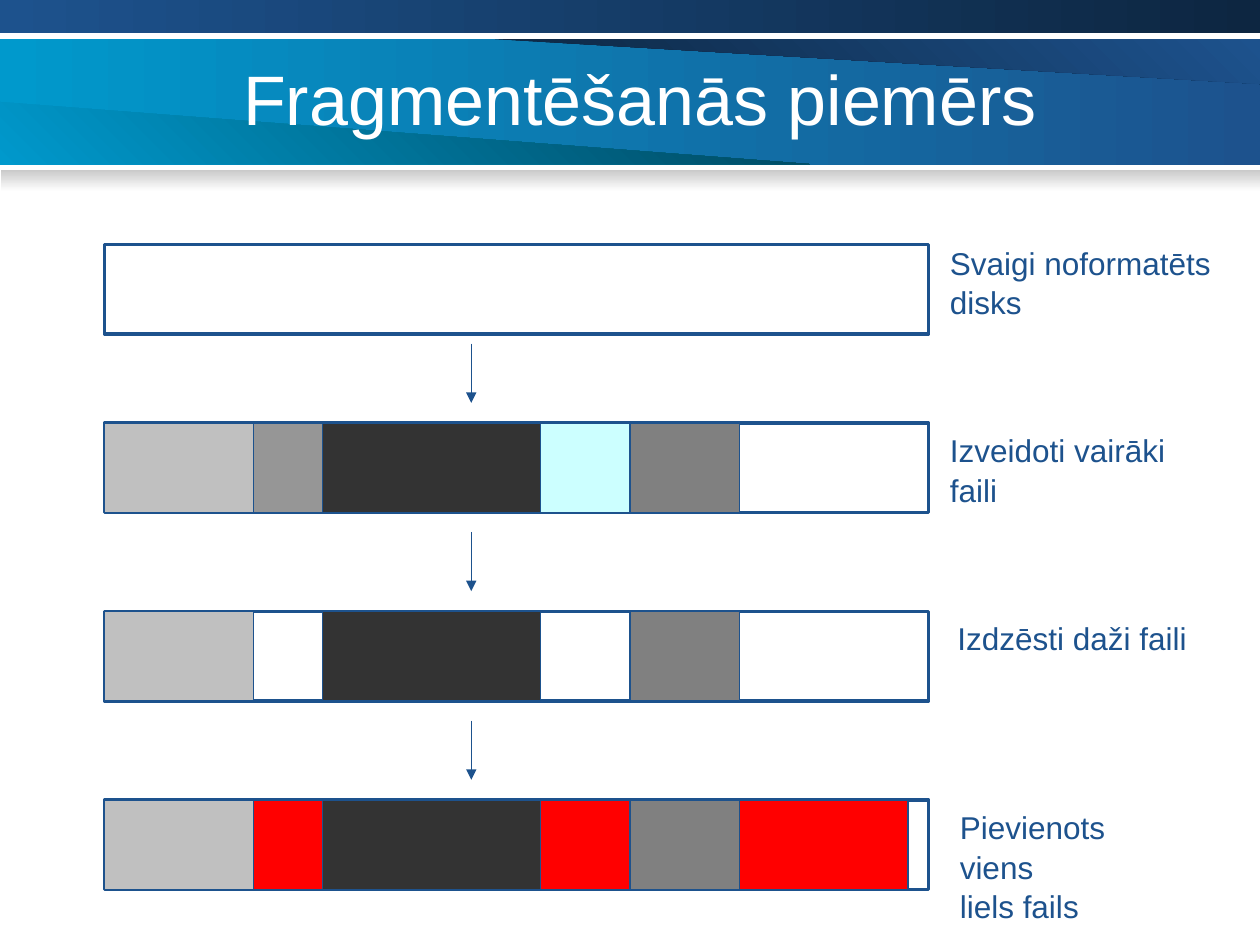
from itertools import pairwise

from lxml.etree import SubElement
from pptx import Presentation
from pptx.dml.color import RGBColor
from pptx.enum.shapes import MSO_CONNECTOR as Connector, MSO_SHAPE as Shape
from pptx.enum.text import MSO_ANCHOR as Anchor, MSO_AUTO_SIZE as AutoSize, PP_ALIGN as Align
from pptx.oxml.ns import qn
from pptx.util import Pt

COLORS = {
    "white": "FFFFFF", "blue": "1D528D", "navy": "0D2641", "cyan": "0099CC",
    "teal": "00475E", "shadow": "CACACA", "silver": "C0C0C0", "gray": "969696",
    "charcoal": "333333", "ice": "CCFFFF", "slate": "808080", "red": "FF0000",
}
DISK_LEFT, DISK_WIDTH, DISK_HEIGHT = 59.8, 470.9, 51.1
SEGMENT_EDGES = [DISK_LEFT, 144.7, 184.4, 308.9, 360, 422.8, 519]
ARROW_X, ARROW_LENGTH = 269.3, 33.8
ROWS = [
    (139.7, [], "Svaigi noformatēts\ndisks", (535.7, 134.6, 163.4, 50.4)),
    (241.7, ["silver", "gray", "charcoal", "ice", "slate"],
     "Izveidoti vairāki\nfaili", (535.7, 241.7, 137.5, 50.4)),
    (349.4, ["silver", None, "charcoal", None, "slate"],
     "Izdzēsti daži faili", (540, 349.4, 145.4, 28.8)),
    (457.1, ["silver", "red", "charcoal", "red", "slate", "red"],
     "Pievienots viens\nliels fails", (541.4, 457.1, 144, 50.4)),
]
ARROW_TOPS = [196.4, 304, 411.8]


def color(name):
    return RGBColor.from_string(COLORS[name])


def write(frame, text, size=18, ink="blue", spacing=1.05):
    for index, line in enumerate(text.split("\n")):
        para = frame.paragraphs[0] if index == 0 else frame.add_paragraph()
        para.alignment = Align.LEFT
        para.line_spacing = spacing
        span = para.add_run()
        span.text = line
        span.font.name = "Arial"
        span.font.size = Pt(size)
        span.font.color.rgb = color(ink)


class Page:
    def __init__(self, deck):
        self.slide = deck.slides.add_slide(deck.slide_layouts[5])
        self.shapes = self.slide.shapes

    def paint_gradient(self, shape, start, end, angle):
        shape.shadow.inherit = False
        shape.line.fill.background()
        shape.fill.gradient()
        shape.fill.gradient_angle = angle
        for stop, name in zip(shape.fill.gradient_stops, (start, end)):
            stop.color.rgb = color(name)

    def band(self, left, top, width, height, start, end, angle=0):
        shape = self.shapes.add_shape(Shape.RECTANGLE, Pt(left), Pt(top), Pt(width), Pt(height))
        self.paint_gradient(shape, start, end, angle)

    def wedge(self, points, start, end):
        corners = [(Pt(x), Pt(y)) for x, y in points]
        builder = self.shapes.build_freeform(*corners[0])
        builder.add_line_segments(corners[1:], close=True)
        self.paint_gradient(builder.convert_to_shape(), start, end, 45)

    def title(self, text, left, top, width, height):
        box = self.shapes.title
        box.element.getparent().append(box.element)
        box.left, box.top, box.width, box.height = Pt(left), Pt(top), Pt(width), Pt(height)
        box.text_frame.vertical_anchor = Anchor.MIDDLE
        write(box.text_frame, text, size=40, ink="white", spacing=1)

    def block(self, left, top, width, fill=None, weight=0.75):
        shape = self.shapes.add_shape(
            Shape.RECTANGLE, Pt(left), Pt(top), Pt(width), Pt(DISK_HEIGHT))
        shape.shadow.inherit = False
        shape.line.color.rgb = color("blue")
        shape.line.width = Pt(weight)
        if fill:
            shape.fill.solid()
            shape.fill.fore_color.rgb = color(fill)
        else:
            shape.fill.background()

    def disk(self, top, files):
        self.block(DISK_LEFT, top, DISK_WIDTH, weight=2)
        for (left, right), fill in zip(pairwise(SEGMENT_EDGES), files):
            if fill:
                self.block(left, top, right - left, fill)

    def arrow(self, top):
        line = self.shapes.add_connector(
            Connector.STRAIGHT, Pt(ARROW_X), Pt(top), Pt(ARROW_X), Pt(top + ARROW_LENGTH))
        line.line.color.rgb = color("blue")
        line.line.width = Pt(0.75)
        properties = line.element.spPr
        SubElement(properties.find(qn("a:ln")), qn("a:tailEnd"), type="triangle")
        SubElement(properties, qn("a:effectLst"))

    def label(self, text, left, top, width, height):
        box = self.shapes.add_textbox(Pt(left), Pt(top), Pt(width), Pt(height))
        box.text_frame.word_wrap = False
        box.text_frame.auto_size = AutoSize.SHAPE_TO_FIT_TEXT
        write(box.text_frame, text)


def main():
    deck = Presentation()
    deck.slide_width, deck.slide_height = Pt(720), Pt(540)
    page = Page(deck)
    page.band(0, 22.3, 720, 72, "cyan", "blue")
    page.wedge([(707, 22.3), (283, 22.3), (720, 48), (720, 22.3)], "navy", "blue")
    page.wedge([(13.7, 93.8), (463, 93.8), (0, 58.3), (0, 93.8)], "cyan", "teal")
    page.band(0, 0, 720, 18.7, "blue", "navy")
    page.band(0.7, 97.2, 719.3, 12.2, "shadow", "white", angle=270)
    page.title("Fragmentēšanās piemērs", 131.8, 21.6, 522, 68.4)
    for top, files, text, place in ROWS:
        page.disk(top, files)
        page.label(text, *place)
    for top in ARROW_TOPS:
        page.arrow(top)
    deck.save("out.pptx")


if __name__ == "__main__":
    main()
